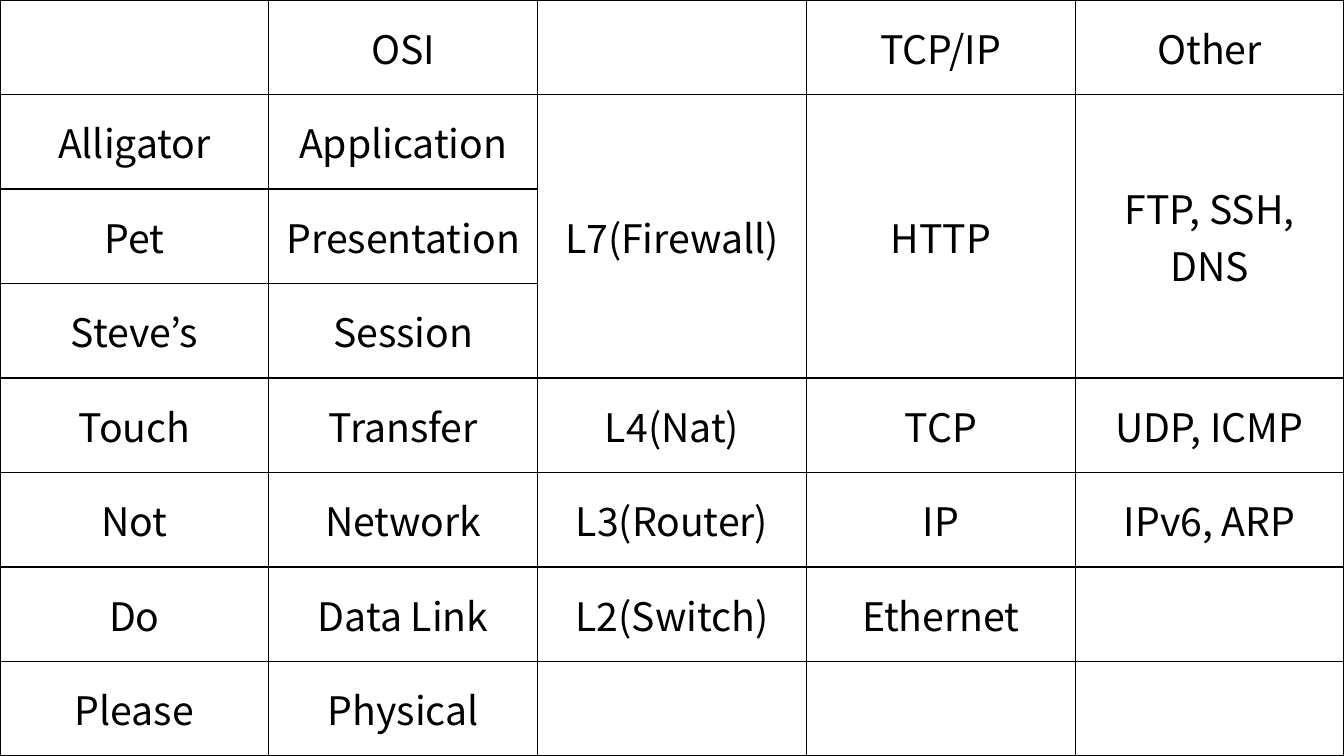
import dataclasses

import lxml.etree
import pptx
import pptx.dml.color
import pptx.enum.text
import pptx.oxml.ns
import pptx.util

Pt = pptx.util.Pt


@dataclasses.dataclass(frozen=True)
class Theme:
    font: str = "Noto Sans CJK KR"
    size: int = 28
    ink: str = "000000"
    border: int = 1


THEME = Theme()
SLIDE_W, SLIDE_H = 960, 540
LAYERS = [
    ["", "OSI", "", "TCP/IP", "Other"],
    ["Alligator", "Application", "L7(Firewall)", "HTTP", "FTP, SSH, DNS"],
    ["Pet", "Presentation", "", "", ""],
    ["Steve’s", "Session", "", "", ""],
    ["Touch", "Transfer", "L4(Nat)", "TCP", "UDP, ICMP"],
    ["Not", "Network", "L3(Router)", "IP", "IPv6, ARP"],
    ["Do", "Data Link", "L2(Switch)", "Ethernet", ""],
    ["Please", "Physical", "", "", ""],
]
MERGED_ROWS = (1, 3)
MERGED_COLS = (2, 3, 4)


def set_borders(cell):
    tcPr = cell._tc.get_or_add_tcPr()
    qn = pptx.oxml.ns.qn
    for side in ("lnL", "lnR", "lnT", "lnB"):
        ln = lxml.etree.SubElement(tcPr, qn(f"a:{side}"), w=str(Pt(THEME.border)))
        fill = lxml.etree.SubElement(ln, qn("a:solidFill"))
        lxml.etree.SubElement(fill, qn("a:srgbClr"), val=THEME.ink)


def write_cell(cell, text):
    set_borders(cell)
    cell.fill.background()
    cell.vertical_anchor = pptx.enum.text.MSO_ANCHOR.MIDDLE
    p = cell.text_frame.paragraphs[0]
    p.alignment = pptx.enum.text.PP_ALIGN.CENTER
    if not text:
        return
    r = p.add_run()
    r.text = text
    for name, value in {"name": THEME.font, "size": Pt(THEME.size), "bold": False}.items():
        setattr(r.font, name, value)
    r.font.color.rgb = pptx.dml.color.RGBColor.from_string(THEME.ink)


def add_layer_table(s, x, y, w, h):
    n_rows, n_cols = len(LAYERS), len(LAYERS[0])
    frame = s.shapes.add_table(n_rows, n_cols, Pt(x), Pt(y), Pt(w), Pt(h))
    table = frame.table
    for flag in ("first_row", "horz_banding"):
        setattr(table, flag, False)
    for col in table.columns:
        col.width = Pt(w / n_cols)
    for row in table.rows:
        row.height = Pt(h / n_rows)
    for i, layer in enumerate(LAYERS):
        for j, text in enumerate(layer):
            write_cell(table.cell(i, j), text)
    top, bottom = MERGED_ROWS
    for j in MERGED_COLS:
        table.cell(top, j).merge(table.cell(bottom, j))


def main():
    prs = pptx.Presentation()
    prs.slide_width, prs.slide_height = Pt(SLIDE_W), Pt(SLIDE_H)
    s = prs.slides.add_slide(prs.slide_layouts[6])
    add_layer_table(s, 0, 0, SLIDE_W, SLIDE_H)
    prs.save("out.pptx")


if __name__ == "__main__":
    main()
